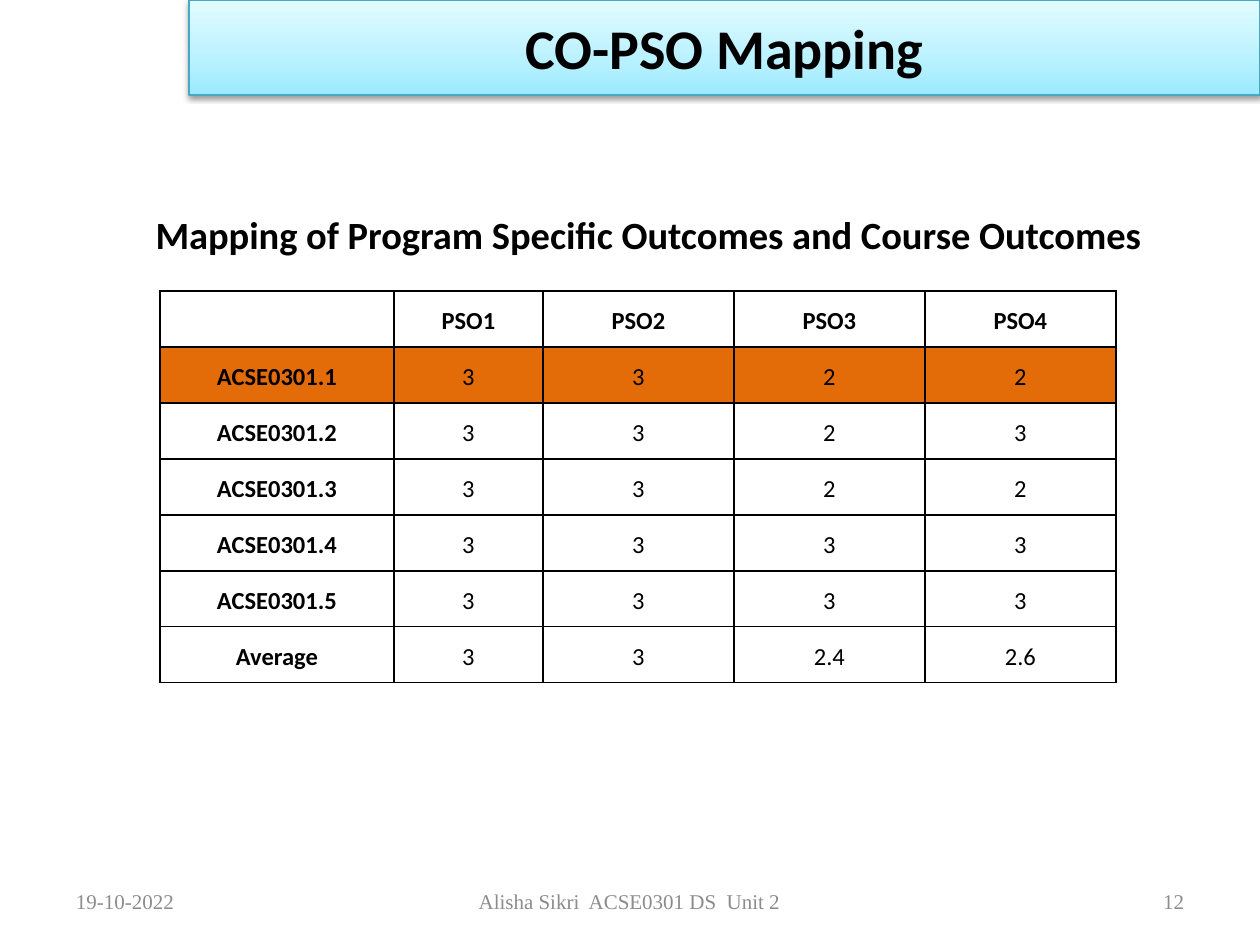
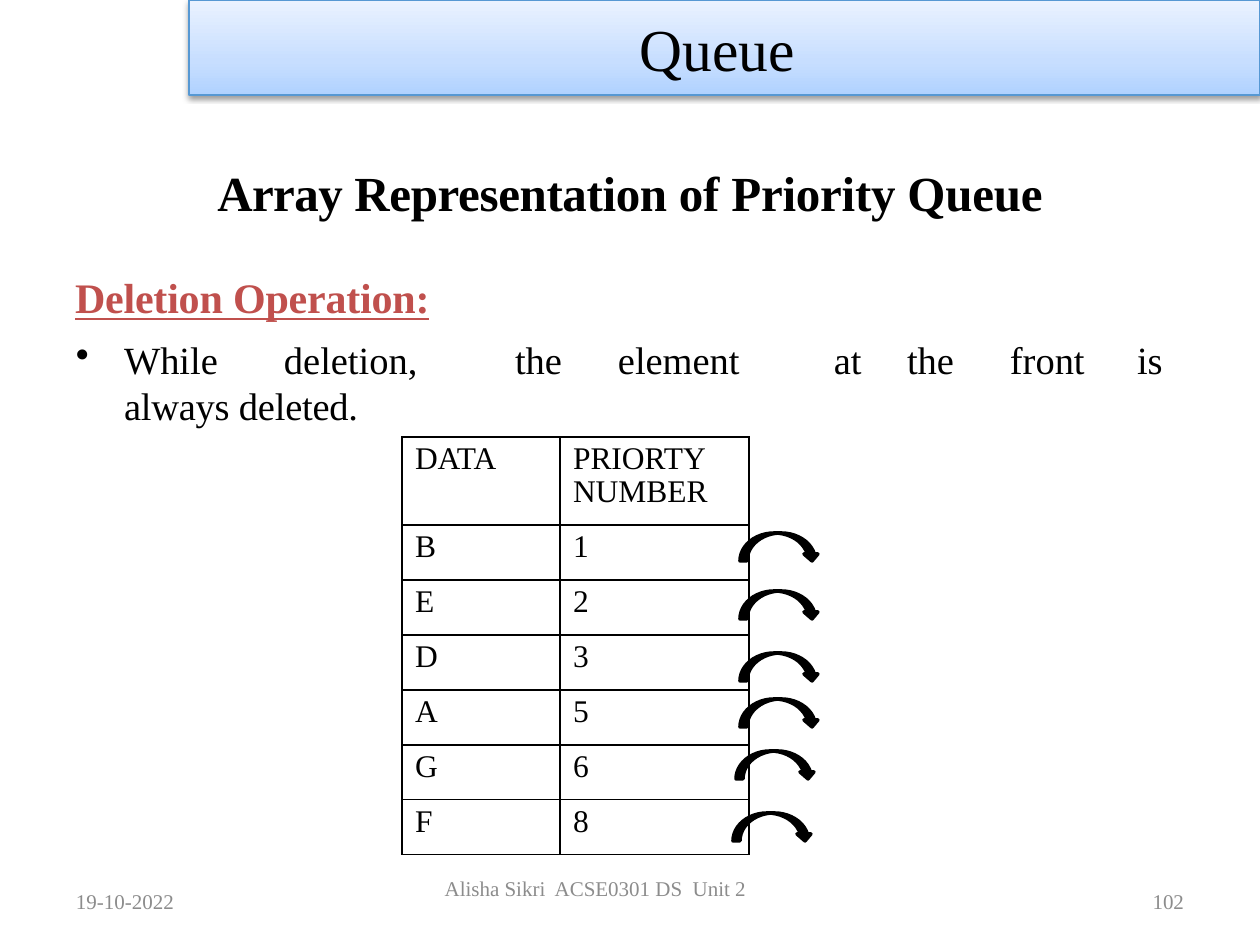
from copy import deepcopy
from typing import NamedTuple, Sequence

from lxml.etree import SubElement
from pptx import Presentation
from pptx.dml.color import RGBColor
from pptx.enum.shapes import MSO_SHAPE
from pptx.enum.text import MSO_ANCHOR, PP_ALIGN
from pptx.oxml.ns import qn
from pptx.util import Emu, Pt

EMU_PER_INCH = 914400
PX_PER_INCH = 126
SANS, SERIF = "Calibri", "Times New Roman"
BLACK, WHITE, GREY = "000000", "FFFFFF", "8C8C8C"
RED, ORANGE = "C0504D", "E36C09"
LEFT, CENTER, RIGHT = PP_ALIGN.LEFT, PP_ALIGN.CENTER, PP_ALIGN.RIGHT


class Box(NamedTuple):
    left: int
    top: int
    width: int
    height: int


class Insets(NamedTuple):
    left: int = 13
    top: int = 6
    right: int = 13
    bottom: int = 6


class Style(NamedTuple):
    font: str
    size: int
    color: str = BLACK
    bold: bool = False
    underline: bool = False


class Run(NamedTuple):
    text: str
    style: Style
    spacing: float = 0


class Band(NamedTuple):
    title: Run
    stops: Sequence[tuple[float, str]]
    line: str


class Footer(NamedTuple):
    number: str
    box: Box
    insets: Insets


class Grid(NamedTuple):
    left: int
    top: int
    columns: Sequence[int]
    rows: Sequence[int]
    insets: Insets
    anchor: MSO_ANCHOR
    align: PP_ALIGN
    line_spacing: float


FOOTER_STYLE = Style(SERIF, 12, GREY)
FOOTER_TOP, FOOTER_HEIGHT, SIDE_WIDTH = 876, 50, 294
BAND_BOX = Box(189, 0, 1071, 95)

AQUA_BAND = Band(Run("CO-PSO Mapping", Style(SANS, 32, bold=True)),
                 ((0, "9BE9FF"), (0.35, "B8F1FF"), (1, "E2FBFF")), "45A9C4")
BLUE_BAND = Band(Run("Queue ", Style(SERIF, 34)),
                 ((0, "B0D2FF"), (0.35, "C7DEFF"), (1, "EAF2FF")), "5698D3")

MAPPING_ROWS = (
    ("", "PSO1", "PSO2", "PSO3", "PSO4"),
    ("ACSE0301.1", "3", "3", "2", "2"),
    ("ACSE0301.2", "3", "3", "2", "3"),
    ("ACSE0301.3", "3", "3", "2", "2"),
    ("ACSE0301.4", "3", "3", "3", "3"),
    ("ACSE0301.5", "3", "3", "3", "3"),
    ("Average", "3", "3", "2.4", "2.6"),
)
HIGHLIGHTED_ROW = 1
QUEUE_ROWS = (("DATA", "PRIORTY NUMBER"), ("B", "1"), ("E", "2"), ("D", "3"),
              ("A", "5"), ("G", "6"), ("F", "8"))
DELETION_TABS = (49, 209, 440, 543, 759, 832, 935, 1062)
ARROW_CORNERS = ((740, 533), (740, 591), (740, 653), (740, 699), (736, 751), (733, 813))


def px(value: int) -> Emu:
    return Emu(round(value * EMU_PER_INCH / PX_PER_INCH))


def rgb(color: str) -> RGBColor:
    return RGBColor.from_string(color)


def emu_box(box: Box) -> list[Emu]:
    return [px(v) for v in box]


def add_run(p, run: Run) -> None:
    r = p.add_run()
    r.text = run.text
    font = r.font
    font.name, font.size = run.style.font, Pt(run.style.size)
    font.bold, font.underline = run.style.bold, run.style.underline
    font.color.rgb = rgb(run.style.color)
    if run.spacing:
        r._r.get_or_add_rPr().set("spc", str(round(run.spacing * 100)))


def set_insets(target, insets: Insets) -> None:
    """Set the margins of a text frame or a table cell."""
    target.margin_left, target.margin_top = px(insets.left), px(insets.top)
    target.margin_right, target.margin_bottom = px(insets.right), px(insets.bottom)


def add_text(s, box: Box, runs: Sequence[Run], align: PP_ALIGN = LEFT,
             anchor: MSO_ANCHOR = MSO_ANCHOR.MIDDLE, insets: Insets = Insets()):
    """Add a text box with one paragraph and return its text frame."""
    tf = s.shapes.add_textbox(*emu_box(box)).text_frame
    tf.word_wrap = True
    tf.vertical_anchor = anchor
    set_insets(tf, insets)
    p = tf.paragraphs[0]
    p.alignment = align
    for run in runs:
        add_run(p, run)
    return tf


def add_band(s, band: Band) -> None:
    sp = s.shapes.add_shape(MSO_SHAPE.RECTANGLE, *emu_box(BAND_BOX))
    sp.fill.gradient()
    sp.fill.gradient_angle = 90
    spPr = sp._element.spPr
    gs_list = spPr.find(".//" + qn("a:gsLst"))
    gs_list.append(deepcopy(gs_list[-1]))
    for stop, (position, color) in zip(sp.fill.gradient_stops, band.stops):
        stop.position = position
        stop.color.rgb = rgb(color)
    sp.line.color.rgb = rgb(band.line)
    sp.line.width = Pt(0.75)
    sp.shadow.inherit = False
    shadow = SubElement(spPr.find(qn("a:effectLst")), qn("a:outerShdw"), blurRad="40000",
                        dist="20000", dir="5400000", rotWithShape="0")
    SubElement(SubElement(shadow, qn("a:srgbClr"), val=BLACK), qn("a:alpha"), val="38000")
    tf = sp.text_frame
    tf.vertical_anchor = MSO_ANCHOR.MIDDLE
    set_insets(tf, Insets())
    p = tf.paragraphs[0]
    p.alignment = CENTER
    add_run(p, band.title)


def add_footer(s, footer: Footer) -> None:
    date_box = Box(63, FOOTER_TOP, SIDE_WIDTH, FOOTER_HEIGHT)
    add_text(s, date_box, [Run("19-10-2022", FOOTER_STYLE)])
    add_text(s, footer.box, [Run("Alisha Sikri  ACSE0301 DS  Unit 2", FOOTER_STYLE)],
             CENTER, insets=footer.insets)
    add_text(s, date_box._replace(left=903), [Run(footer.number, FOOTER_STYLE)], RIGHT)


def add_cell_borders(cell) -> None:
    tcPr = cell._tc.get_or_add_tcPr()
    for i, side in enumerate(("a:lnL", "a:lnR", "a:lnT", "a:lnB")):
        ln = tcPr.makeelement(qn(side), {"w": str(Pt(1))})
        SubElement(SubElement(ln, qn("a:solidFill")), qn("a:srgbClr"), val=BLACK)
        tcPr.insert(i, ln)


def add_grid(s, grid: Grid, rows: Sequence[Sequence[str]], style: Style,
             bold_headings: bool = False, highlighted: int | None = None) -> None:
    """Add a bordered table; bold_headings covers the first row and column."""
    box = Box(grid.left, grid.top, sum(grid.columns), sum(grid.rows))
    table = s.shapes.add_table(len(rows), len(grid.columns), *emu_box(box)).table
    table.first_row = table.horz_banding = False
    for column, width in zip(table.columns, grid.columns):
        column.width = px(width)
    for i, (row, height) in enumerate(zip(rows, grid.rows)):
        table.rows[i].height = px(height)
        for j, text in enumerate(row):
            cell = table.cell(i, j)
            cell.fill.solid()
            cell.fill.fore_color.rgb = rgb(ORANGE if i == highlighted else WHITE)
            add_cell_borders(cell)
            set_insets(cell, grid.insets)
            cell.vertical_anchor = grid.anchor
            p = cell.text_frame.paragraphs[0]
            p.alignment, p.line_spacing = grid.align, grid.line_spacing
            if text:
                bold = bold_headings and (i == 0 or j == 0)
                add_run(p, Run(text, style._replace(bold=bold)))


def make_bullet(p, tabs: Sequence[int]) -> None:
    pPr = p._p.get_or_add_pPr()
    pPr.set("marL", str(px(49)))
    pPr.set("indent", str(px(-48)))
    SubElement(pPr, qn("a:buChar"), char="•")
    tab_list = SubElement(pPr, qn("a:tabLst"))
    for tab in tabs:
        SubElement(tab_list, qn("a:tab"), pos=str(px(tab)), algn="l")


def add_step_arrow(s, left: int, top: int) -> None:
    sp = s.shapes.add_shape(MSO_SHAPE.CURVED_DOWN_ARROW, *emu_box(Box(left, top, 79, 28)))
    sp.shadow.inherit = False
    sp.fill.solid()
    sp.fill.fore_color.rgb = sp.line.color.rgb = rgb(BLACK)
    sp.line.width = Pt(2)


def add_base_slide(prs, band: Band, footer: Footer):
    s = prs.slides.add_slide(prs.slide_layouts[6])
    add_footer(s, footer)
    add_band(s, band)
    return s


def build_mapping_slide(prs) -> None:
    center_box = Box(347, FOOTER_TOP, 693, FOOTER_HEIGHT)
    s = add_base_slide(prs, AQUA_BAND, Footer("12", center_box, Insets(right=141)))
    heading = "Mapping of Program Specific Outcomes and Course Outcomes"
    add_text(s, Box(100, 205, 1097, 59), [Run(heading, Style(SANS, 22, bold=True))],
             CENTER, MSO_ANCHOR.TOP)
    grid = Grid(160, 291, (234, 149, 191, 191, 191), (56,) * len(MAPPING_ROWS),
                Insets(9, 0, 9, 0), MSO_ANCHOR.MIDDLE, CENTER, 1.15)
    add_grid(s, grid, MAPPING_ROWS, Style(SANS, 14), True, HIGHLIGHTED_ROW)


def build_queue_slide(prs) -> None:
    center_box = Box(431, FOOTER_TOP, 399, FOOTER_HEIGHT)
    s = add_base_slide(prs, BLUE_BAND,
                       Footer("102", center_box, Insets(left=0, right=70, bottom=32)))
    heading = Style(SERIF, 28, bold=True)
    add_text(s, Box(63, 158, 1134, 60),
             [Run("Array ", heading, -0.3), Run("Representation ", heading, -0.2),
              Run("of Priority Queue", heading, -0.1)],
             CENTER, insets=Insets(0, 8, 0, 0))
    operation = Style(SERIF, 24, RED, bold=True, underline=True)
    tf = add_text(s, Box(74, 253, 1113, 174), [Run("Deletion Operation:", operation, -0.1)],
                  anchor=MSO_ANCHOR.TOP, insets=Insets(1, 19, 0, 0))
    p = tf.add_paragraph()
    p.space_before = Pt(7.7)
    make_bullet(p, DELETION_TABS)
    body = Style(SERIF, 22)
    add_run(p, Run("While\tdeletion,\tthe\telement\tat\tthe\tfront\tis ", body))
    add_run(p, Run("always deleted.", body, -0.1))
    grid = Grid(402, 437, (158, 189), (88,) + (55,) * (len(QUEUE_ROWS) - 1),
                Insets(), MSO_ANCHOR.TOP, LEFT, 0.95)
    add_grid(s, grid, QUEUE_ROWS, Style(SERIF, 18))
    for left, top in ARROW_CORNERS:
        add_step_arrow(s, left, top)


def main() -> None:
    prs = Presentation()
    prs.slide_width, prs.slide_height = px(1260), px(945)
    build_mapping_slide(prs)
    build_queue_slide(prs)
    prs.save("out.pptx")


if __name__ == "__main__":
    main()
